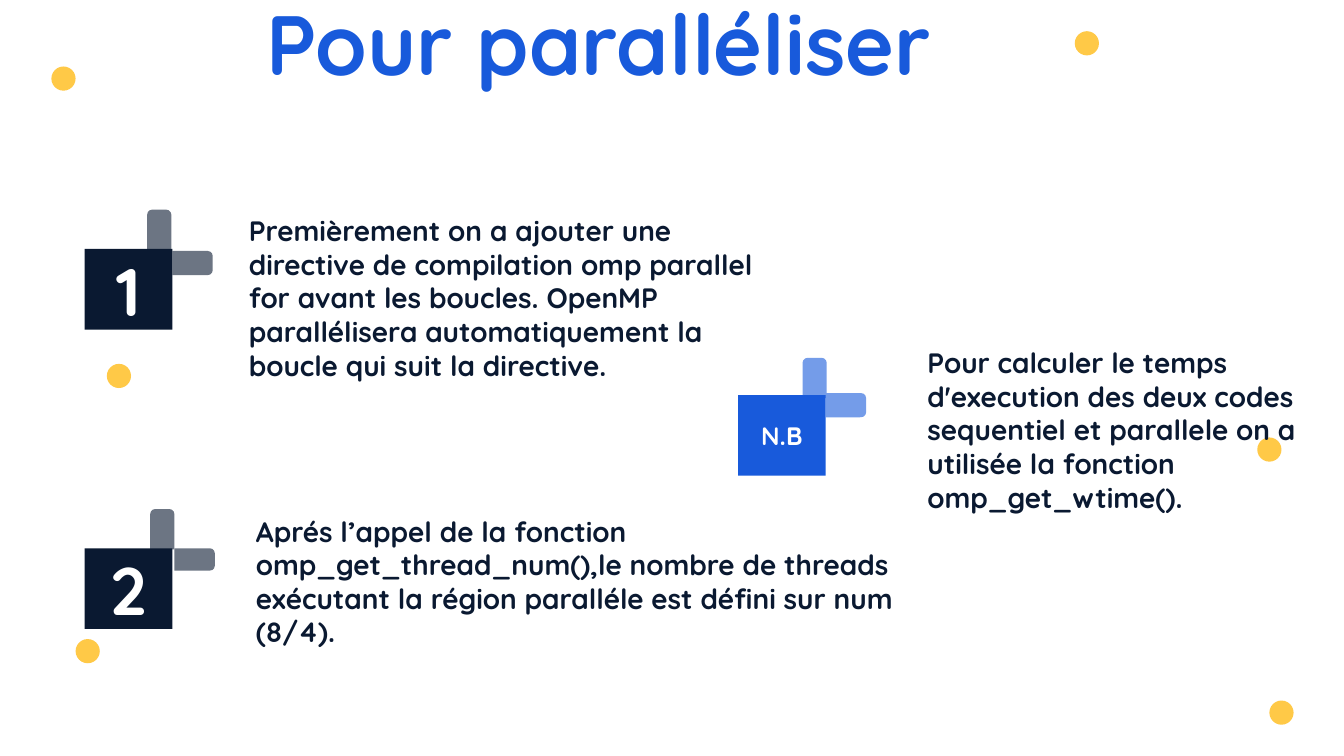
"""Build the slide "Pour paralléliser" with its numbered steps and remark."""
from pptx import Presentation
from pptx.dml.color import RGBColor
from pptx.enum.shapes import MSO_SHAPE
from pptx.enum.text import MSO_ANCHOR, MSO_AUTO_SIZE, PP_ALIGN
from pptx.util import Inches, Pt

RECTANGLE, OVAL = MSO_SHAPE.RECTANGLE, MSO_SHAPE.OVAL
BAR = MSO_SHAPE.ROUND_2_SAME_RECTANGLE
TOP, MIDDLE = MSO_ANCHOR.TOP, MSO_ANCHOR.MIDDLE
LEFT, CENTER = PP_ALIGN.LEFT, PP_ALIGN.CENTER
NO_AUTOFIT = MSO_AUTO_SIZE.NONE

FONT = "Quicksand"
NAVY, BLUE, GREY, LIGHT_BLUE = "0A1931", "185ADB", "6C7583", "749CE9"
YELLOW, WHITE = "FFC947", "FFFFFF"

TITLE = "Pour paralléliser"
TITLE_BOX = (2.05, -0.13, 7.77, 1.11)
BADGE_WIDTH, BADGE_HEIGHT = 0.87, 0.8
BAR_WIDTH, BAR_LENGTH = 0.24, 0.4
DOT_SIZE = 0.24

STEPS = [
    {"label": "1", "size": 48, "color": NAVY, "bar_color": GREY,
     "badge": (0.84, 2.47), "upright": (1.46, 2.08), "flat": (1.71, 2.49, BAR_WIDTH),
     "box": (2.37, 2.07, 5.33, 1.78),
     "text": "Premièrement on a ajouter une directive de compilation omp parallel "
             "for avant les boucles. OpenMP parallélisera automatiquement la boucle "
             "qui suit la directive."},
    {"label": "N.B", "size": 18, "color": BLUE, "bar_color": LIGHT_BLUE,
     "badge": (7.32, 3.92), "upright": (7.96, 3.55), "flat": (8.19, 3.9, BAR_WIDTH),
     "box": (9.1, 3.38, 3.96, 1.78),
     "text": "Pour calculer le temps d'execution des deux codes sequentiel et "
             "parallele on a utilisée la fonction omp_get_wtime()."},
    {"label": "2", "size": 48, "color": NAVY, "bar_color": GREY,
     "badge": (0.84, 5.44), "upright": (1.49, 5.05), "flat": (1.73, 5.44, 0.22),
     "box": (2.44, 5.05, 6.63, 1.45),
     "text": "Aprés l’appel de la fonction omp_get_thread_num(),le nombre de threads "
             "exécutant la région paralléle est défini sur num (8/4)."},
]
DOTS = [(0.51, 0.66), (10.66, 0.31), (12.47, 4.34),
        (12.59, 6.95), (1.06, 3.61), (0.75, 6.34)]


def rgb(color):
    """Turn a hex string into a colour."""
    return RGBColor.from_string(color)


def add_block(slide, kind, box, color):
    """Add a plain filled shape."""
    shape = slide.shapes.add_shape(kind, *map(Inches, box))
    shape.shadow.inherit = False
    shape.fill.solid()
    shape.fill.fore_color.rgb = rgb(color)
    shape.line.fill.background()
    return shape


def add_bar(slide, left, top, width, length, color, flat=False):
    """Add a bar rounded at its upper end, or at its right end when flat."""
    if flat:
        left, top = left + (length - width) / 2, top - (length - width) / 2
    bar = add_block(slide, BAR, (left, top, width, length), color)
    bar.adjustments[0] = 0.21
    bar.rotation = 90 if flat else 0


def write(shape, text, size, color, alignment=LEFT, anchor=TOP, wrap=True):
    """Write one bold paragraph into a shape."""
    frame = shape.text_frame
    frame.auto_size = NO_AUTOFIT
    frame.word_wrap = wrap
    frame.vertical_anchor = anchor
    paragraph = frame.paragraphs[0]
    paragraph.alignment = alignment
    run = paragraph.add_run()
    run.text = text
    run.font.name = FONT
    run.font.size = Pt(size)
    run.font.bold = True
    run.font.color.rgb = rgb(color)


presentation = Presentation()
presentation.slide_width, presentation.slide_height = Inches(13.33), Inches(7.5)
slide = presentation.slides.add_slide(presentation.slide_layouts[5])

title = slide.shapes.title
title.left, title.top, title.width, title.height = map(Inches, TITLE_BOX)
write(title, TITLE, 60, BLUE, CENTER)

for step in STEPS:
    add_bar(slide, *step["upright"], BAR_WIDTH, BAR_LENGTH, step["bar_color"])
    left, top, thickness = step["flat"]
    add_bar(slide, left, top, thickness, BAR_LENGTH, step["bar_color"], flat=True)

for left, top in DOTS:
    add_block(slide, OVAL, (left, top, DOT_SIZE, DOT_SIZE), YELLOW)

for step in STEPS:
    badge_box = (*step["badge"], BADGE_WIDTH, BADGE_HEIGHT)
    badge = add_block(slide, RECTANGLE, badge_box, step["color"])
    write(badge, step["label"], step["size"], WHITE, CENTER, MIDDLE, wrap=False)
    description = slide.shapes.add_textbox(*map(Inches, step["box"]))
    write(description, step["text"], 20, NAVY)

presentation.save("out.pptx")
